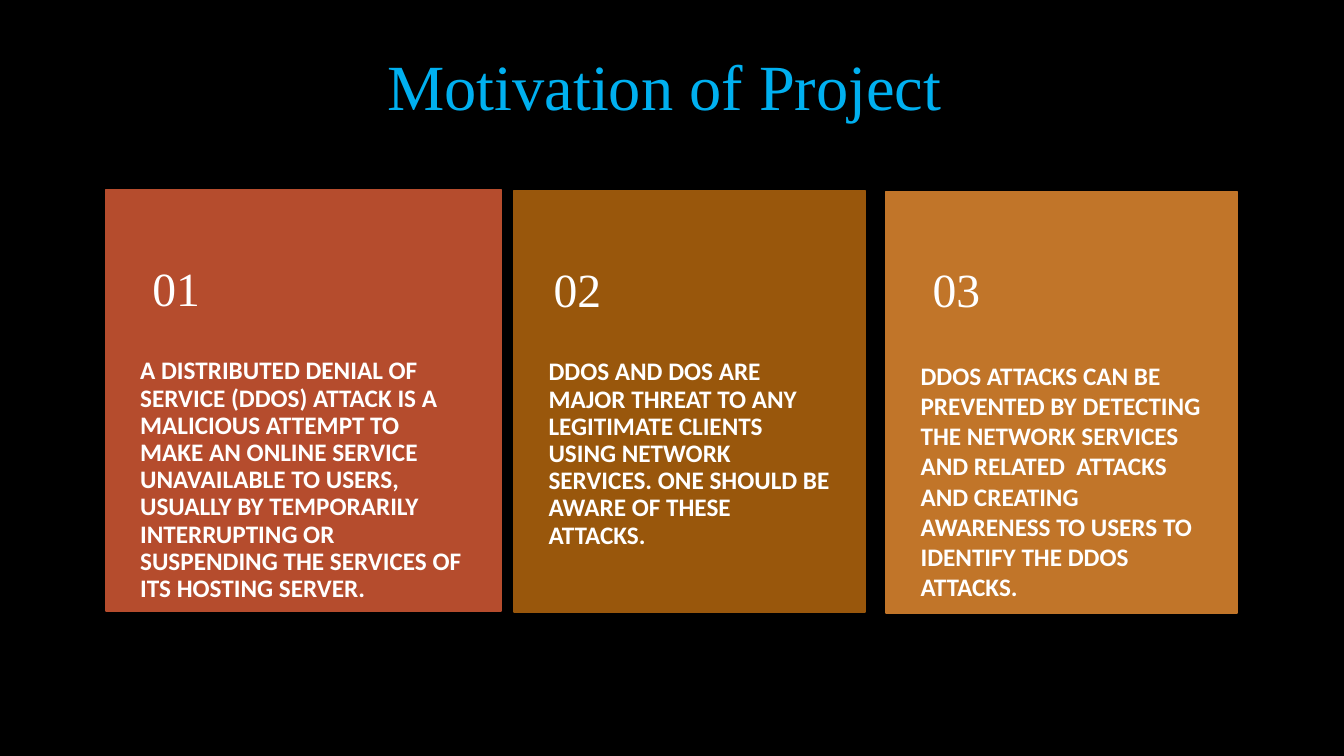
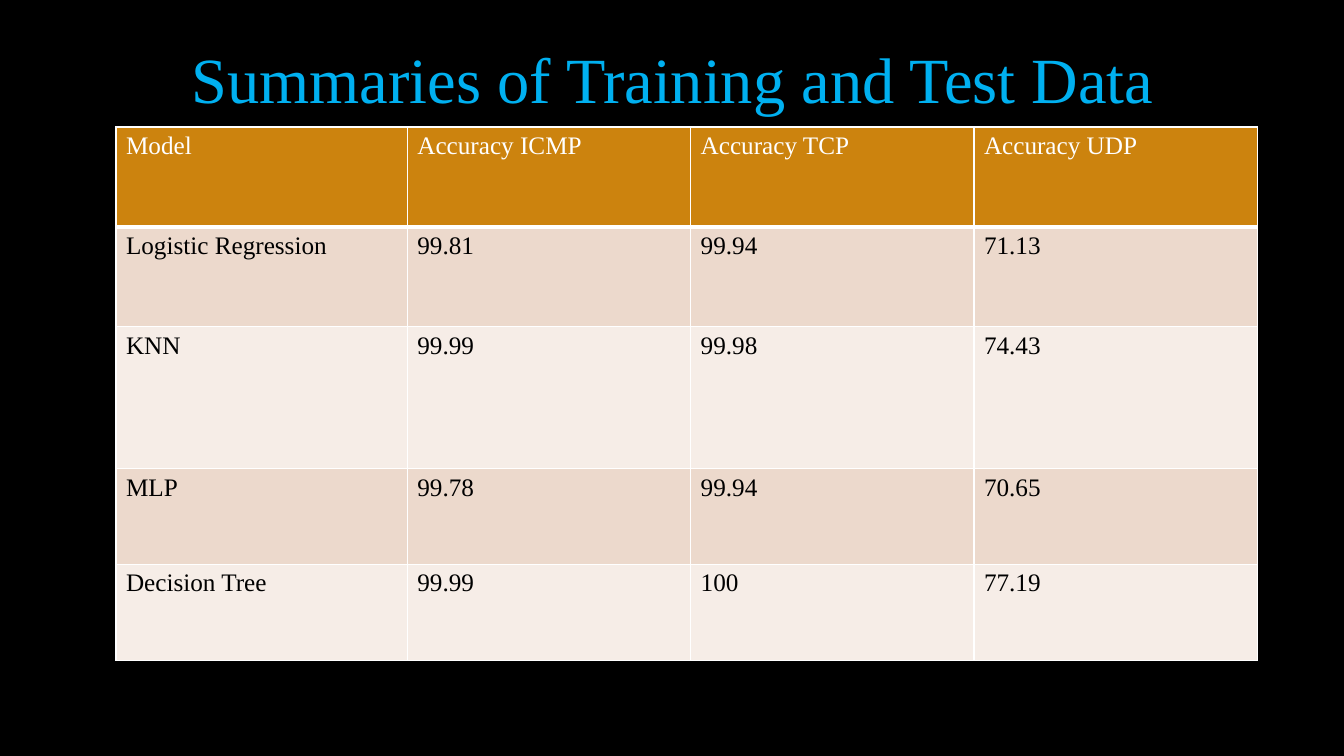
from lxml import etree
from pptx import Presentation
from pptx.dml.color import RGBColor
from pptx.enum.shapes import MSO_SHAPE
from pptx.enum.text import MSO_ANCHOR, MSO_AUTO_SIZE, PP_ALIGN
from pptx.oxml.ns import qn
from pptx.util import Inches, Pt

BLACK = RGBColor(0x00, 0x00, 0x00)
WHITE = RGBColor(0xFF, 0xFF, 0xFF)
BLUE = RGBColor(0x00, 0xB0, 0xF0)
RED = RGBColor(0xB5, 0x4C, 0x2D)
BROWN = RGBColor(0x99, 0x57, 0x0C)
TAN = RGBColor(0xC1, 0x75, 0x29)
GOLD = RGBColor(0xCC, 0x83, 0x0E)
ROSE = RGBColor(0xEC, 0xD9, 0xCC)
PALE = RGBColor(0xF6, 0xED, 0xE7)

SERIF = "Times New Roman"
SANS = "Calibri"
HEAD = {"name": SERIF, "size": Pt(46)}
COUNT = {"name": SERIF, "size": Pt(34)}
BODY = {"name": SANS, "size": Pt(18), "bold": True}
CELL = {"name": SERIF, "size": Pt(18)}

CARDS = [
    {"box": (1.05, 1.88, 3.92, 4.18), "fill": RED, "count": "01",
     "spot": (0.12, 0.57, 3.48, 0.88), "lead": 0.9,
     "text": "A DISTRIBUTED DENIAL OF SERVICE (DDOS) ATTACK IS A MALICIOUS "
             "ATTEMPT TO MAKE AN ONLINE SERVICE UNAVAILABLE TO USERS, USUALLY "
             "BY TEMPORARILY INTERRUPTING OR SUSPENDING THE SERVICES OF ITS "
             "HOSTING SERVER."},
    {"box": (5.1, 1.89, 3.48, 4.18), "fill": BROWN, "count": "02",
     "spot": (0.05, 0.17, 3.48, 1.67), "lead": 0.9,
     "text": "DDOS AND DOS ARE MAJOR THREAT TO ANY LEGITIMATE CLIENTS USING "
             "NETWORK SERVICES. ONE SHOULD BE AWARE OF THESE ATTACKS."},
    {"box": (8.79, 1.9, 3.48, 4.18), "fill": TAN, "count": "03",
     "spot": (0.12, 0.16, 3.48, 1.67), "lead": 1.0,
     "text": "DDOS ATTACKS CAN BE PREVENTED BY DETECTING THE NETWORK SERVICES "
             "AND RELATED  ATTACKS AND CREATING AWARENESS TO USERS TO "
             "IDENTIFY THE DDOS ATTACKS."},
]

COLS = [2.89, 2.81, 2.81, 2.81]
ROWS = [0.99, 0.99, 1.41, 0.95, 0.95]
DATA = [
    ["Model", "Accuracy ICMP", "Accuracy TCP", "Accuracy UDP"],
    ["Logistic Regression", "99.81", "99.94", "71.13"],
    ["KNN", "99.99", "99.98", "74.43"],
    ["MLP", "99.78", "99.94", "70.65"],
    ["Decision Tree", "99.99", "100", "77.19"],
]


def apply(item, style):
    for key, value in style.items():
        setattr(item, key, value)


def place(box):
    return [Inches(n) for n in box]


def write(frame, text, style, color, **para):
    line = frame.paragraphs[0]
    apply(line, para)
    run = line.add_run()
    run.text = text
    apply(run.font, style)
    run.font.color.rgb = color


def start(deck, text, box):
    slide = deck.slides.add_slide(deck.slide_layouts[5])
    title = slide.shapes.title
    apply(title, dict(zip(("left", "top", "width", "height"), place(box))))
    apply(title.text_frame, {"word_wrap": True, "auto_size": MSO_AUTO_SIZE.NONE,
                             "vertical_anchor": MSO_ANCHOR.MIDDLE})
    write(title.text_frame, text, HEAD, BLUE,
          alignment=PP_ALIGN.CENTER, line_spacing=0.9)
    return slide


def label(group, box, text, style, anchor, pads, lead):
    frame = group.shapes.add_textbox(*place(box)).text_frame
    sides = ("margin_left", "margin_top", "margin_right", "margin_bottom")
    apply(frame, dict(zip(sides, place(pads))))
    apply(frame, {"word_wrap": True, "vertical_anchor": anchor})
    write(frame, text, style, WHITE, line_spacing=lead)


def add_card(group, card):
    left, top, width, height = card["box"]
    panel = group.shapes.add_shape(MSO_SHAPE.RECTANGLE, *place(card["box"]))
    panel.shadow.inherit = False
    panel.fill.solid()
    panel.fill.fore_color.rgb = card["fill"]
    panel.line.color.rgb = card["fill"]
    panel.line.width = Pt(1.25)
    deep = height * 0.6
    label(group, (left, top + height - deep, width, deep), card["text"], BODY,
          MSO_ANCHOR.TOP, (0.34, 0, 0.34, 0.36), card["lead"])
    across, down, wide, high = card["spot"]
    label(group, (left + across, top + down, wide, high), card["count"], COUNT,
          MSO_ANCHOR.MIDDLE, (0.34, 0.18, 0.34, 0.18), 0.9)


def edge(cell, side, width):
    props = cell._tc.get_or_add_tcPr()
    line = etree.SubElement(props, qn("a:" + side), w=str(Pt(width)))
    fill = etree.SubElement(line, qn("a:solidFill"))
    etree.SubElement(fill, qn("a:srgbClr"), val=str(WHITE))


def add_grid(slide, box):
    grid = slide.shapes.add_table(len(ROWS), len(COLS), *place(box)).table
    for col, width in zip(grid.columns, COLS):
        col.width = Inches(width)
    for row, height in zip(grid.rows, ROWS):
        row.height = Inches(height)
    for r, words in enumerate(DATA):
        for c, word in enumerate(words):
            cell = grid.cell(r, c)
            for side in ("lnL", "lnR", "lnT", "lnB"):
                thick = (r, side) in ((0, "lnB"), (1, "lnT"))
                edge(cell, side, 3 if thick else 1)
            cell.fill.solid()
            cell.fill.fore_color.rgb = (PALE, ROSE)[r % 2] if r else GOLD
            write(cell.text_frame, word, CELL, BLACK if r else WHITE)


def main():
    deck = Presentation()
    deck.slide_width, deck.slide_height = place((13.33, 7.5))
    back = deck.slide_master.background.fill
    back.solid()
    back.fore_color.rgb = BLACK

    slide = start(deck, "Motivation of Project ", (0.24, 0.43, 12.86, 0.91))
    group = slide.shapes.add_group_shape()
    for card in CARDS:
        add_card(group, card)

    slide = start(deck, "Summaries of Training and Test Data",
                  (0.85, 0.39, 11.64, 0.85))
    add_grid(slide, (1.15, 1.26, sum(COLS), sum(ROWS)))
    deck.save("out.pptx")


if __name__ == "__main__":
    main()
